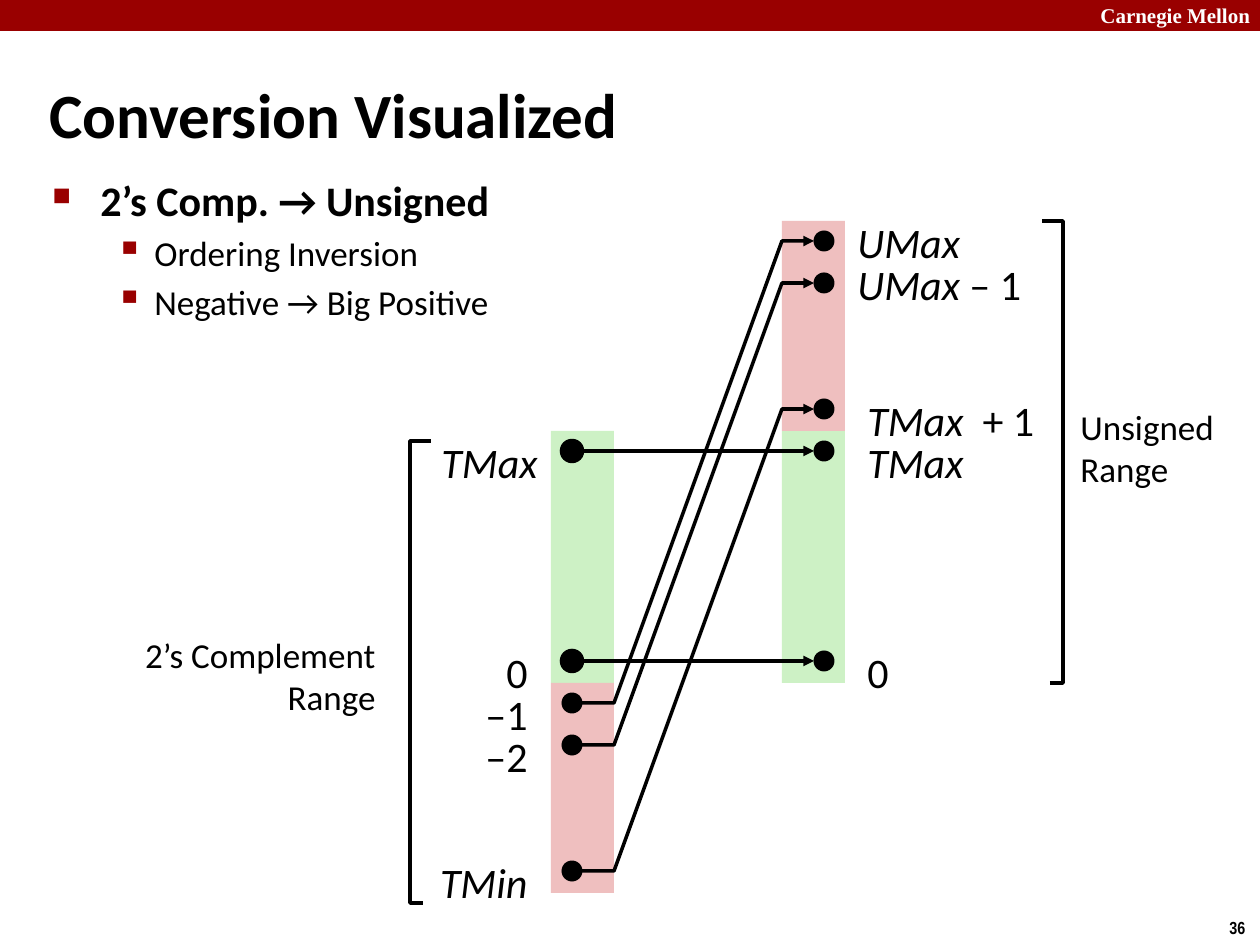
from lxml.etree import SubElement
from pptx import Presentation
from pptx.dml.color import RGBColor
from pptx.enum.shapes import MSO_CONNECTOR, MSO_SHAPE
from pptx.enum.text import MSO_ANCHOR, PP_ALIGN
from pptx.oxml.ns import qn
from pptx.util import Emu, Pt

SCALE = 914400 / 126
COLORS = {"band": "990000", "ink": "000000", "white": "FFFFFF",
          "positive": "CDF1C5", "negative": "EFBFBF"}
ROW_TOP, ROW_STEP = 241, 42
BAR_X, BAR_W, DOT = {"left": 551, "right": 782}, 63, 21
DOT_X = {"left": 572, "right": 824}
LINE_X = (582, 614, 782, 814)
LABEL_W, LABEL_H = 200, 64
LABEL = {"size": 24}
RANGE = {"size": 20}


def px(n):
    """Turn px into EMU."""
    return Emu(round(n * SCALE))


def rgb(name):
    """Look up a named colour."""
    return RGBColor.from_string(COLORS[name])


def row_y(n):
    """Give the centre of a value row."""
    return ROW_TOP + ROW_STEP * n


def add_block(s, kind, box, color, outlined=False):
    """Add a filled preset shape."""
    sp = s.shapes.add_shape(kind, *map(px, box))
    sp.shadow.inherit = False
    sp.fill.solid()
    sp.fill.fore_color.rgb = rgb(color)
    if outlined:
        style_line(sp)
    else:
        sp.line.fill.background()


def add_dot(s, side, row, outlined=False):
    """Add a value dot on one of the bars."""
    box = (DOT_X[side] - DOT / 2, row_y(row) - DOT / 2, DOT, DOT)
    add_block(s, MSO_SHAPE.OVAL, box, "ink", outlined)


def style_line(sp, arrow=False):
    """Set a black line, with an arrowhead if asked."""
    sp.line.color.rgb = rgb("ink")
    sp.line.width = Pt(2)
    if arrow:
        ln = sp.element.spPr.find(qn("a:ln"))
        SubElement(ln, qn("a:tailEnd"), type="triangle")


def add_arrow(s, row):
    """Add a straight arrow between equal values."""
    y = px(row_y(row))
    sp = s.shapes.add_connector(MSO_CONNECTOR.STRAIGHT, px(LINE_X[0]), y, px(LINE_X[-1]), y)
    style_line(sp, True)
    SubElement(sp.element.spPr, qn("a:effectLst"))


def add_polyline(s, points, arrow=False):
    """Add an open, unfilled outline."""
    builder = s.shapes.build_freeform(*points[0], scale=SCALE)
    builder.add_line_segments(points[1:], close=False)
    sp = builder.convert_to_shape()
    sp.shadow.inherit = False
    sp.fill.background()
    style_line(sp, arrow)


def add_run(p, text, **fmt):
    """Add a run with its format."""
    r = p.add_run()
    r.text = text
    values = {"name": "Calibri", "size": 20, "bold": False, "italic": False, "color": "ink"} | fmt
    r.font.color.rgb = rgb(values.pop("color"))
    values["size"] = Pt(values["size"])
    for key, value in values.items():
        setattr(r.font, key, value)


def add_text(s, box, paragraphs, align=PP_ALIGN.LEFT, wrap=True, anchor=MSO_ANCHOR.TOP, **fmt):
    """Add a text box; each paragraph is a list of (text, italic) runs."""
    tf = s.shapes.add_textbox(*map(px, box)).text_frame
    tf.word_wrap = wrap
    tf.vertical_anchor = anchor
    for i, runs in enumerate(paragraphs):
        p = tf.paragraphs[0] if i == 0 else tf.add_paragraph()
        p.alignment = align
        for text, italic in runs:
            add_run(p, text, italic=italic, **fmt)


def add_bullets(s, box, items):
    """Add the bulleted list of (level, text) items."""
    tf = s.shapes.add_textbox(*map(px, box)).text_frame
    tf.word_wrap = True
    levels = [(48, 48, "■", 60, 24), (102, 39, "▪", 110, 20)]
    for i, (level, text) in enumerate(items):
        margin, hang, char, percent, size = levels[level]
        p = tf.paragraphs[0] if i == 0 else tf.add_paragraph()
        p.level = level
        p.space_before = Pt(4 if i else 0)
        pPr = p._p.get_or_add_pPr()
        pPr.set("marL", str(px(margin)))
        pPr.set("indent", str(-px(hang)))
        SubElement(SubElement(pPr, qn("a:buClr")), qn("a:srgbClr"), val=COLORS["band"])
        SubElement(pPr, qn("a:buSzPct"), val=str(percent * 1000))
        SubElement(pPr, qn("a:buChar"), char=char)
        add_run(p, text, size=size, bold=level == 0)


def add_frame(s):
    """Add the top band, slide number, title and list."""
    add_block(s, MSO_SHAPE.RECTANGLE, (0, 0, 1260, 31), "band")
    add_text(s, (1088, -4, 180, 38), [[("Carnegie Mellon", False)]],
             name="Times New Roman", size=12, bold=True, color="white")
    add_text(s, (1217, 911, 43, 34), [[("36", False)]], wrap=False,
             name="Arial Narrow", size=10, bold=True)
    add_text(s, (37, 73, 1095, 80), [[("Conversion Visualized", False)]],
             anchor=MSO_ANCHOR.MIDDLE, size=36, bold=True)
    add_bullets(s, (40, 168, 573, 237), [
        (0, "2’s Comp. → Unsigned"),
        (1, "Ordering Inversion"),
        (1, "Negative → Big Positive"),
    ])


def add_bars(s):
    """Add the two number bars."""
    for side, negative_y in (("left", 683), ("right", 221)):
        x = BAR_X[side]
        add_block(s, MSO_SHAPE.RECTANGLE, (x, 431, BAR_W, 252), "positive")
        add_block(s, MSO_SHAPE.RECTANGLE, (x, negative_y, BAR_W, 210), "negative")


def add_mapping(s):
    """Add the dots and the arrows between them."""
    for row in (5, 10):
        add_dot(s, "left", row, True)
        add_dot(s, "right", row)
        add_arrow(s, row)
    for start, end in ((11, 0), (12, 1), (15, 4)):
        add_dot(s, "left", start)
        add_dot(s, "right", end)
        ys = [row_y(n) for n in (start, start, end, end)]
        add_polyline(s, list(zip(LINE_X, ys)), True)


def add_labels(s):
    """Add the value labels beside the bars."""
    left = [(5, "TMax", True, 550), (10, "0", False, 540), (11, "–1", False, 540),
            (12, "–2", False, 540), (15, "TMin", True, 540)]
    for row, text, italic, edge in left:
        add_text(s, (edge - LABEL_W, row_y(row) - 21, LABEL_W, LABEL_H), [[(text, italic)]],
                 PP_ALIGN.RIGHT, **LABEL)
    right = [(0, 845, 31, [("UMax", True)]),
             (1, 845, 31, [("UMax", True), (" – 1", False)]),
             (4, 855, 21, [("TMax  ", True), ("+ 1", False)]),
             (5, 855, 21, [("TMax", True)]),
             (10, 855, 21, [("0", False)])]
    for row, x, rise, runs in right:
        add_text(s, (x, row_y(row) - rise, LABEL_W, LABEL_H), [runs], **LABEL)


def add_ranges(s):
    """Add the range brackets and their captions."""
    add_polyline(s, [(423, 903), (410, 903), (410, 441), (431, 441)])
    add_polyline(s, [(1050, 683), (1063, 683), (1063, 221), (1042, 221)])
    add_text(s, (94, 627, 294, 97), [[("2’s Complement Range", False)]],
             PP_ALIGN.RIGHT, **RANGE)
    add_text(s, (1068, 399, 160, 97), [[("Unsigned", False)], [("Range", False)]],
             wrap=False, **RANGE)


def main():
    """Build and save the slide."""
    prs = Presentation()
    prs.slide_width, prs.slide_height = px(1260), px(945)
    s = prs.slides.add_slide(prs.slide_layouts[6])
    for add_part in (add_frame, add_bars, add_mapping, add_labels, add_ranges):
        add_part(s)
    prs.save("out.pptx")


if __name__ == "__main__":
    main()
